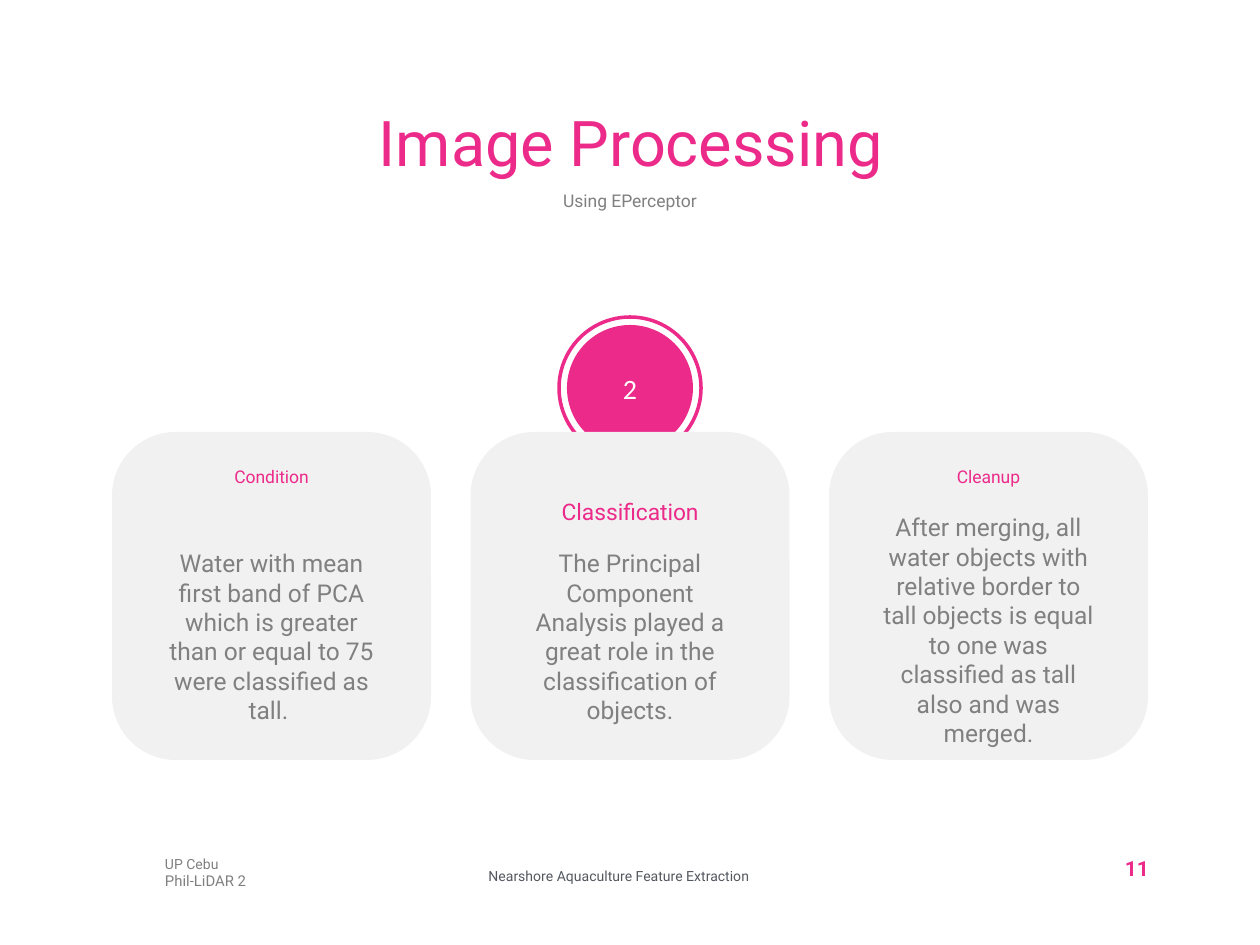
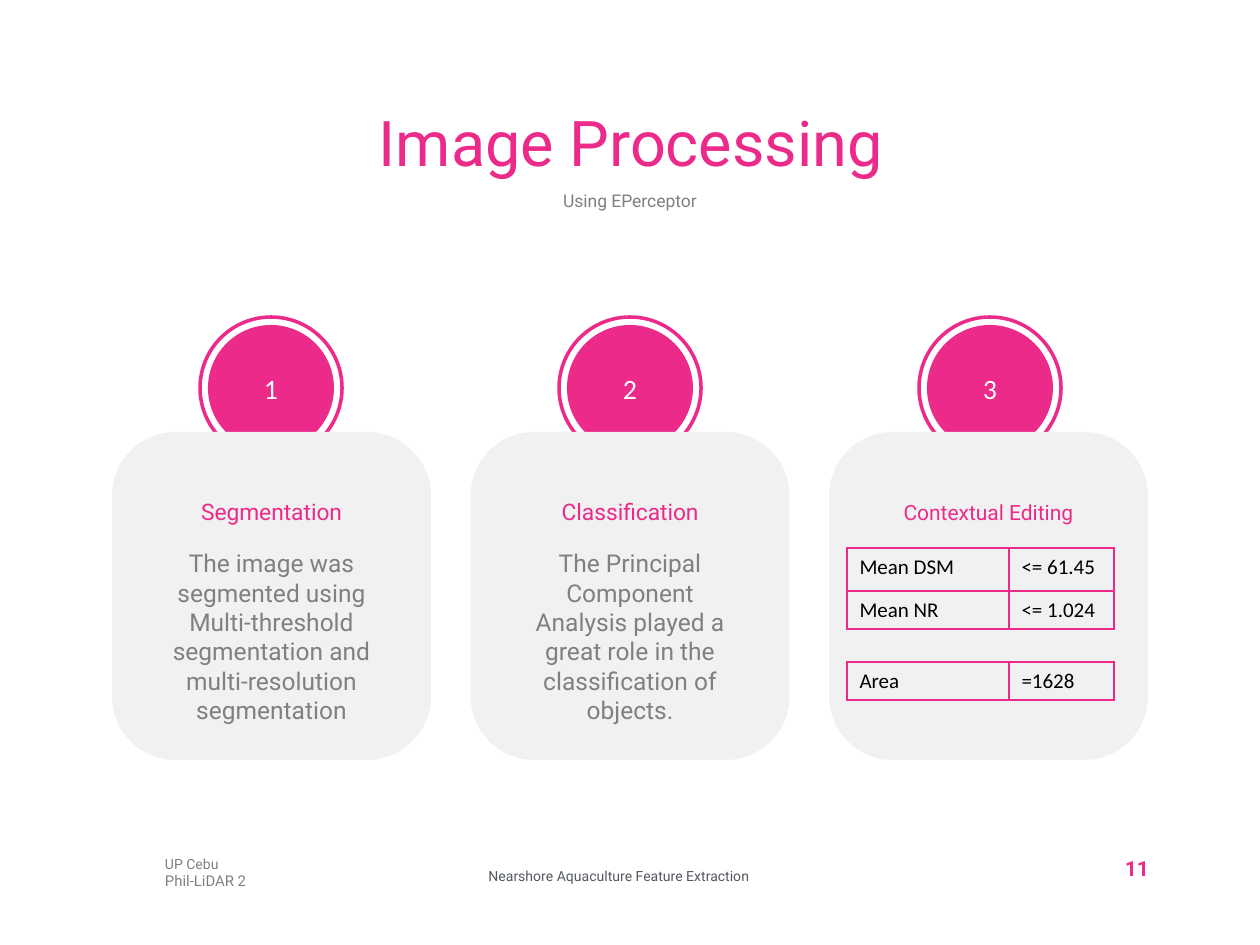
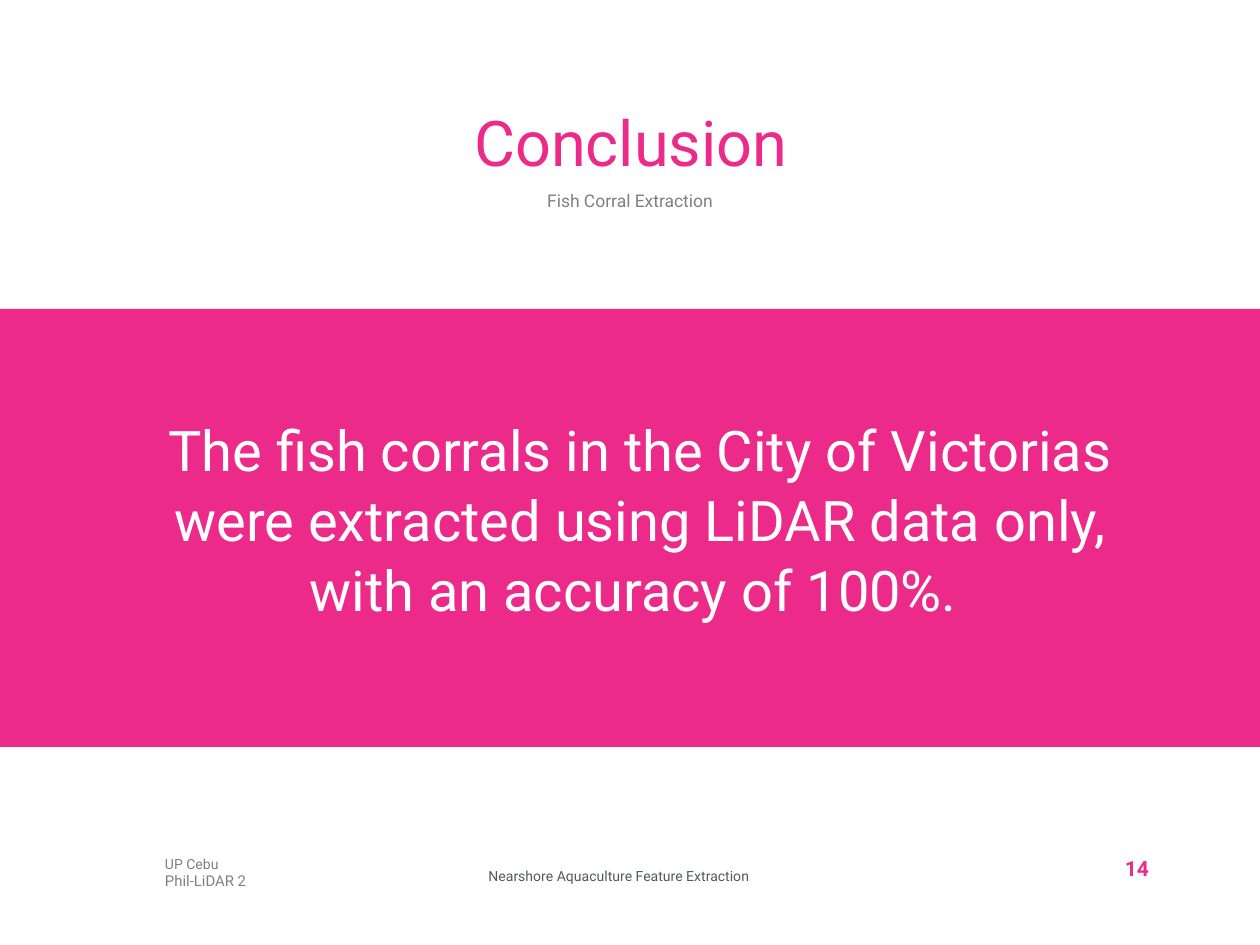
from lxml import etree
from pptx import Presentation
from pptx.dml.color import RGBColor
from pptx.enum.shapes import MSO_SHAPE
from pptx.enum.text import MSO_ANCHOR, PP_ALIGN
from pptx.oxml.ns import qn
from pptx.util import Emu, Pt

OVAL, RECT, ROUND = MSO_SHAPE.OVAL, MSO_SHAPE.RECTANGLE, MSO_SHAPE.ROUNDED_RECTANGLE
TOP, MID = MSO_ANCHOR.TOP, MSO_ANCHOR.MIDDLE
LEFT, MIDDLE, RIGHT = PP_ALIGN.LEFT, PP_ALIGN.CENTER, PP_ALIGN.RIGHT

# Content
CLASSES = dict(badge="2", head="Classification", text=(
    "The Principal Component Analysis played a great role in the "
    "classification of objects."))
SLIDES = [
    dict(title="Image Processing", sub="Using EPerceptor", page="11", cards=[
        dict(head="Condition", style="minor", head_y=459, text=(
            "Water with mean first band of PCA which is greater than or "
            "equal to 75 were classified as tall. ")),
        CLASSES,
        dict(head="Cleanup", style="minor", head_y=459, text_y=506, text=(
            "After merging, all water objects with relative border to tall "
            "objects is equal to one was classified as tall also and was merged.")),
    ]),
    dict(title="Image Processing", sub="Using EPerceptor", page="11", cards=[
        dict(badge="1", head="Segmentation", text=(
            "The image was segmented using Multi-threshold segmentation and "
            "multi-resolution segmentation")),
        CLASSES,
        dict(badge="3", head="Contextual Editing", style="tight", tables=[
            (548, [43, 38], [("Mean DSM", "<= 61.45"), ("Mean NR", "<= 1.024")]),
            (662, [38], [("Area", "=1628")]),
        ]),
    ]),
    dict(title="Conclusion", sub="Fish Corral Extraction", page="14", claim=(
        "The fish corrals in the City of Victorias were extracted using "
        "LiDAR data only, with an accuracy of 100%. ")),
]
FOOT = [  # text, style, box, alignment
    ("UP Cebu", "foot", (165, 856, 125, 16), LEFT),
    ("Phil-LiDAR 2", "team", (165, 872, 100, 18), LEFT),
    ("Nearshore Aquaculture Feature Extraction", "topic", (413, 867, 412, 16), MIDDLE),
]

# Theme: style is font, size, colour, bold
PINK, GREY, SLATE, PALE, WHITE, BLACK = (
    "EC2A8A", "808080", "53585F", "F1F1F1", "FFFFFF", "000000")
THEME = {
    "title": ("Roboto", 36, PINK, False),
    "sub": ("Roboto", 10, GREY, False),
    "head": ("Roboto", 13, PINK, False),
    "tight": ("Roboto", 12, PINK, False),
    "minor": ("Roboto", 10, PINK, False),
    "text": ("Roboto", 14, GREY, False),
    "claim": ("Roboto", 32, WHITE, False),
    "badge": ("Calibri", 16, WHITE, False),
    "cell": ("Calibri", 12, BLACK, False),
    "foot": ("Roboto", 8, GREY, False),
    "team": ("Roboto", 8.5, GREY, False),
    "topic": ("Roboto", 8, SLATE, False),
    "page": ("Roboto", 12, PINK, True),
}

# Grid, in px
WIDE, HIGH = 1260, 945
EDGE, CARD_W, CARD_Y, CARD_H = 112, 319, 432, 328
STEP = (WIDE - 2 * EDGE - CARD_W) / 2
PAD = 37
BADGE_X, BADGE_Y, RING, DISC = (271, 630, 990), 388, 142, 126
COLS, TABLE_X = (162, 105), 847


def px(n):
    return Emu(round(n * 914400 / 126))


def rgb(code):
    return RGBColor.from_string(code)


def write(frame, text, style, align=MIDDLE, anchor=TOP, space=None, inset=None):
    """Put one styled paragraph in a text frame."""
    frame.word_wrap = True
    frame.vertical_anchor = anchor
    if inset:
        for side, n in zip(("left", "top", "right", "bottom"), inset):
            setattr(frame, "margin_" + side, px(n))
    para = frame.paragraphs[0]
    para.text = text
    for key, value in dict(alignment=align, line_spacing=space).items():
        setattr(para, key, value)
    ink(para, style)


def ink(para, style):
    name, size, code, bold = THEME[style]
    font = para.runs[0].font
    for key, value in dict(name=name, size=Pt(size), bold=bold).items():
        setattr(font, key, value)
    font.color.rgb = rgb(code)


def label(slide, spot, *args, **form):
    box = slide.shapes.add_textbox(*map(px, spot))
    write(box.text_frame, *args, **form)
    return box


def block(slide, kind, spot, fill=None, line=None):
    shape = slide.shapes.add_shape(kind, *map(px, spot))
    shape.shadow.inherit = False
    if fill:
        shape.fill.solid()
        shape.fill.fore_color.rgb = rgb(fill)
    else:
        shape.fill.background()
    if line:
        shape.line.color.rgb = rgb(line)
        shape.line.width = Pt(2)
    else:
        shape.line.fill.background()
    return shape


def badge(slide, x, text):
    def round_at(size):
        return x - size / 2, BADGE_Y - size / 2, size, size
    block(slide, OVAL, round_at(RING), line=PINK)
    disc = block(slide, OVAL, round_at(DISC), fill=PINK)
    write(disc.text_frame, text, "badge", anchor=MID, inset=(8, 8, 8, 8))


def border(cell):
    """Draw a one-point line on all four sides."""
    props = cell._tc.get_or_add_tcPr()
    for side in ("lnL", "lnR", "lnT", "lnB"):
        line = etree.SubElement(props, qn("a:" + side), w=str(Pt(1)))
        fill = etree.SubElement(line, qn("a:solidFill"))
        etree.SubElement(fill, qn("a:srgbClr"), val=PINK)


def grid(slide, y, highs, rows):
    spot = (TABLE_X, y, sum(COLS), sum(highs))
    table = slide.shapes.add_table(len(rows), len(COLS), *map(px, spot)).table
    table.first_row = table.horz_banding = False
    for col, n in zip(table.columns, COLS):
        col.width = px(n)
    for row, n, texts in zip(table.rows, highs, rows):
        row.height = px(n)
        for cell, text in zip(row.cells, texts):
            cell.text = text
            ink(cell.text_frame.paragraphs[0], "cell")
            border(cell)
            cell.fill.background()


def card(slide, x, item):
    back = block(slide, ROUND, (x, CARD_Y, CARD_W, CARD_H), fill=PALE)
    back.adjustments[0] = 0.2
    left, width = x + PAD, CARD_W - 2 * PAD
    label(slide, (left, item.get("head_y", 495), width, 37), item["head"],
          item.get("style", "head"), anchor=MID, space=0.9, inset=(0, 6, 0, 6))
    if "text" in item:
        label(slide, (left, item.get("text_y", 542), width, 190), item["text"], "text")
    for part in item.get("tables", []):
        grid(slide, *part)


def frame(slide, item):
    """Title, subtitle, footer and page number."""
    title = slide.shapes.title
    spot = dict(left=97, top=95, width=1068, height=103)
    for key, n in spot.items():
        setattr(title, key, px(n))
    write(title.text_frame, item["title"], "title", anchor=MID, space=0.9,
          inset=(0, 6, 0, 6))
    label(slide, (341, 184, 578, 34), item["sub"], "sub")
    for text, style, place, align in FOOT:
        label(slide, place, text, style, align=align, inset=(0, 0, 0, 0))
    page = block(slide, RECT, (1043, 850, 106, 40), fill=WHITE)
    write(page.text_frame, item["page"], "page", align=RIGHT, anchor=MID,
          space=0.9, inset=(13, 6, 0, 6))


def main():
    deck = Presentation()
    deck.slide_width, deck.slide_height = px(WIDE), px(HIGH)
    for item in SLIDES:
        slide = deck.slides.add_slide(deck.slide_layouts[5])
        frame(slide, item)
        cards = item.get("cards", [])
        # Badges lie behind the cards
        for x, part in zip(BADGE_X, cards):
            if "badge" in part:
                badge(slide, x, part["badge"])
        for i, part in enumerate(cards):
            card(slide, EDGE + i * STEP, part)
        if "claim" in item:
            block(slide, RECT, (0, 309, WIDE, 438), fill=PINK)
            label(slide, (165, 413, 951, 280), item["claim"], "claim",
                  space=Pt(40), inset=(0, 0, 0, 0))
    deck.save("out.pptx")


if __name__ == "__main__":
    main()
